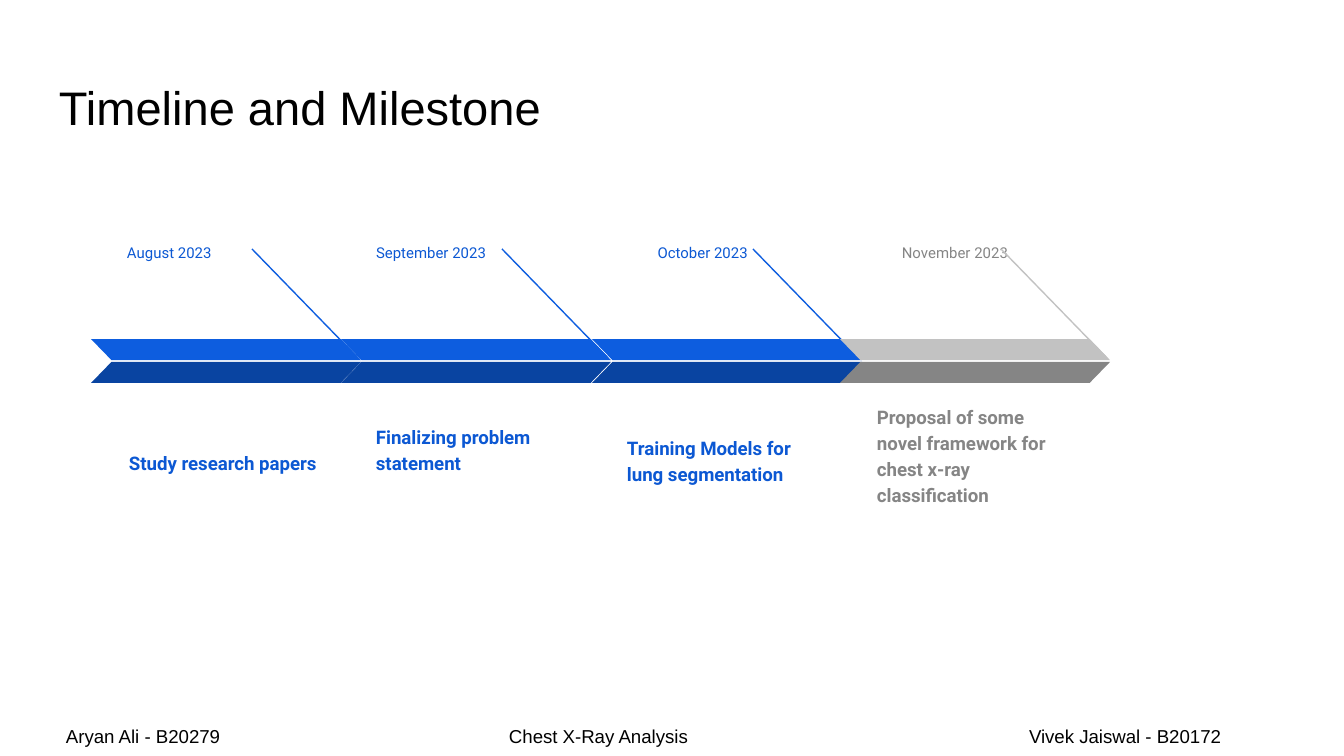
from typing import NamedTuple

from pptx import Presentation
from pptx.dml.color import RGBColor
from pptx.enum import shapes, text
from pptx.oxml import parse_xml
from pptx.oxml.ns import nsdecls
from pptx.util import Emu, Pt

SCALE = 914400 / 134.4  # EMU in one px

BLACK = RGBColor(0x00, 0x00, 0x00)
INK = RGBColor(0x0C, 0x58, 0xD3)
BLUE = RGBColor(0x0D, 0x5D, 0xDF)
NAVY = RGBColor(0x09, 0x44, 0xA1)
SILVER = RGBColor(0xC2, 0xC2, 0xC2)
GREY = RGBColor(0x85, 0x85, 0x85)

LEFT = text.PP_ALIGN.LEFT
MID = text.PP_ALIGN.CENTER
RIGHT = text.PP_ALIGN.RIGHT
TOP = text.MSO_ANCHOR.TOP
LOW = text.MSO_ANCHOR.BOTTOM

BAR_W, BAR_H = 270, 21
UPPER_Y, LOWER_Y = 339, 362


class Box(NamedTuple):
    x: int
    y: int
    w: int
    h: int


class Theme(NamedTuple):
    ink: RGBColor
    upper: RGBColor
    lower: RGBColor


class Stage(NamedTuple):
    x: int
    date: str
    date_box: Box
    align: text.PP_ALIGN
    note: str
    note_box: Box
    theme: Theme


class Foot(NamedTuple):
    label: str
    x: int
    w: int


DONE = Theme(INK, BLUE, NAVY)
NEXT = Theme(GREY, SILVER, GREY)

STAGES = [
    Stage(91, "August 2023", Box(114, 231, 146, 35), LEFT,
          "Study research papers", Box(116, 421, 222, 66), DONE),
    Stage(341, "September 2023", Box(363, 231, 146, 35), LEFT,
          "Finalizing problem statement", Box(363, 421, 222, 66), DONE),
    Stage(592, "October 2023", Box(616, 231, 145, 35), RIGHT,
          "Training Models for lung segmentation", Box(614, 432, 222, 66), DONE),
    Stage(840, "November 2023", Box(884, 231, 142, 85), MID,
          "Proposal of some novel framework for chest x-ray classification",
          Box(864, 410, 222, 109), NEXT),
]

FEET = [
    Foot("Aryan Ali - B20279", 53, 200),
    Foot("Chest X-Ray Analysis", 496, 220),
    Foot("Vivek Jaiswal - B20172", 1016, 230),
]


def px(n: int) -> Emu:
    return Emu(round(n * SCALE))


def write(slide, label: str, box: Box, *, size: float, color: RGBColor = BLACK,
          font: str = "Arial", bold: bool = False, align=LEFT, anchor=TOP,
          space: float = 1.0) -> None:
    frame = slide.shapes.add_textbox(*map(px, box)).text_frame
    frame.word_wrap = True
    frame.vertical_anchor = anchor
    frame.margin_left = frame.margin_right = px(13)
    frame.margin_top = frame.margin_bottom = px(13)
    para = frame.paragraphs[0]
    para.alignment = align
    para.line_spacing = space
    run = para.add_run()
    run.text = label
    run.font.name = font
    run.font.size = Pt(size)
    run.font.bold = bold
    run.font.color.rgb = color


def draw_bar(slide, box: Box, color: RGBColor, flip: bool = False) -> None:
    bar = slide.shapes.add_shape(shapes.MSO_SHAPE.PARALLELOGRAM, *map(px, box))
    bar.adjustments[0] = 0.97
    bar.shadow.inherit = False
    bar.fill.solid()
    bar.fill.fore_color.rgb = color
    bar.line.fill.background()
    if flip:
        bar._element.spPr.xfrm.set("flipH", "1")


def draw_line(slide, x: int, color: RGBColor) -> None:
    ends = map(px, (x, 249, x + 105, 357))
    line = slide.shapes.add_connector(shapes.MSO_CONNECTOR.STRAIGHT, *ends)
    line.line.color.rgb = color
    line.line.width = Pt(0.75)
    line._element.spPr.append(parse_xml(f"<a:effectLst {nsdecls('a')}/>"))


def draw_stage(slide, stage: Stage) -> None:
    hue = stage.theme
    write(slide, stage.date, stage.date_box, size=8, color=hue.ink,
          font="Roboto", align=stage.align, space=1.15)
    write(slide, stage.note, stage.note_box, size=10, color=hue.ink,
          font="Roboto", bold=True, anchor=LOW, space=1.15)
    draw_line(slide, stage.x + 161, hue.upper)
    draw_bar(slide, Box(stage.x, UPPER_Y, BAR_W, BAR_H), hue.upper, flip=True)
    draw_bar(slide, Box(stage.x, LOWER_Y, BAR_W, BAR_H), hue.lower)


def main() -> None:
    deck = Presentation()
    deck.slide_width, deck.slide_height = px(1344), px(756)
    slide = deck.slides.add_slide(deck.slide_layouts[6])

    # Footer and title
    for foot in FEET:
        write(slide, foot.label, Box(foot.x, 714, foot.w, 30), size=10)
    write(slide, "Timeline and Milestone", Box(46, 66, 1253, 85), size=25.2)

    # Timeline
    for stage in STAGES:
        draw_stage(slide, stage)

    deck.save("out.pptx")


if __name__ == "__main__":
    main()
